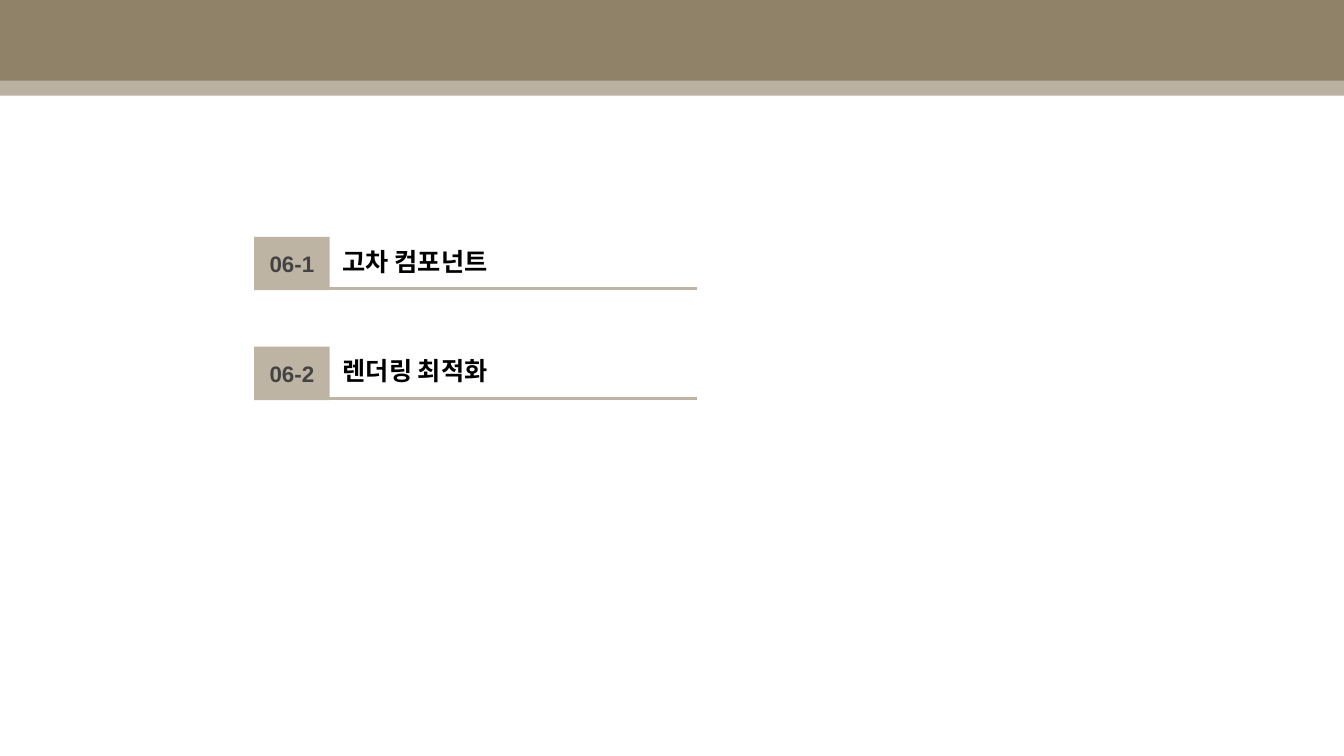
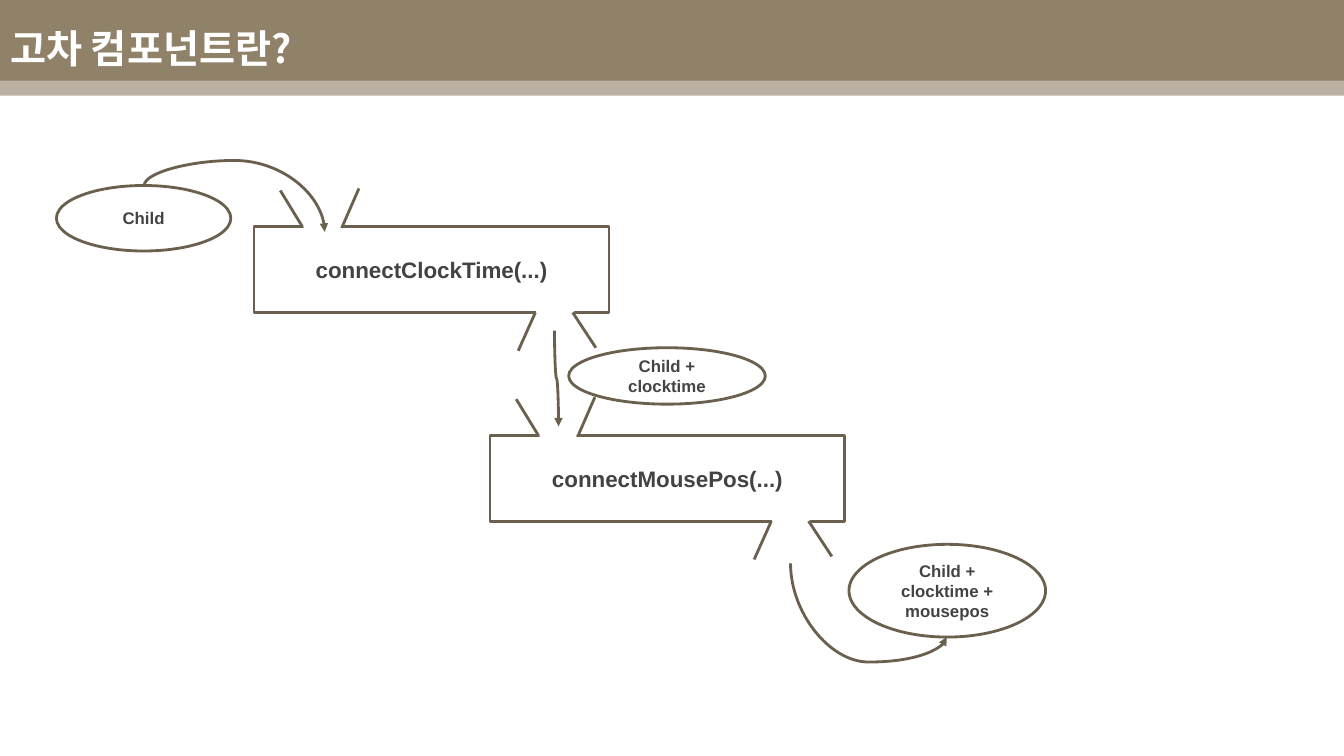
from dataclasses import dataclass

from lxml import etree
from pptx import Presentation
from pptx.dml.color import RGBColor
from pptx.enum.shapes import MSO_CONNECTOR as Conn, MSO_SHAPE as Shape
from pptx.enum.text import MSO_ANCHOR as Anchor, MSO_AUTO_SIZE as AutoSize, PP_ALIGN as Align
from pptx.oxml.ns import qn
from pptx.util import Inches, Pt


@dataclass(frozen=True)
class Theme:
    band: str = "908269"
    tag: str = "BDB4A4"
    outline: str = "6B604E"
    white: str = "FFFFFF"
    black: str = "000000"
    label: str = "434343"
    latin: str = "Arial"
    korean: str = "Noto Sans CJK KR"
    title_size: int = 28
    item_size: int = 18
    box_size: int = 16
    note_size: int = 12
    line: float = 2
    rule: float = 2.25


T = Theme()
SLIDE_W, SLIDE_H = 13.33, 7.5


def rgb(color):
    return RGBColor.from_string(color)


def write(shape, text, *, size, color=T.label, font=T.latin, align=Align.CENTER,
          anchor=Anchor.MIDDLE):
    """Fill a shape with bold text, one paragraph for each line."""
    tf = shape.text_frame
    tf.word_wrap = True
    tf.auto_size = AutoSize.NONE
    tf.vertical_anchor = anchor
    tf.text = text
    for p in tf.paragraphs:
        p.alignment = align
        for r in p.runs:
            f = r.font
            f.name, f.size, f.bold = font, Pt(size), True
            f.color.rgb = rgb(color)
            if font == T.korean:
                etree.SubElement(r._r.get_or_add_rPr(), qn("a:ea"), typeface=font)


def add_shape(s, kind, x, y, w, h, *, fill=T.white, line=None):
    sp = s.shapes.add_shape(kind, Inches(x), Inches(y), Inches(w), Inches(h))
    sp.shadow.inherit = False
    sp.fill.solid()
    sp.fill.fore_color.rgb = rgb(fill)
    if line:
        sp.line.color.rgb = rgb(line)
        sp.line.width = Pt(T.line)
    else:
        sp.line.fill.background()
    return sp


def add_line(s, x1, y1, x2, y2, *, color=T.outline, width=T.line, kind=Conn.STRAIGHT):
    c = s.shapes.add_connector(kind, Inches(x1), Inches(y1), Inches(x2), Inches(y2))
    c.line.color.rgb = rgb(color)
    c.line.width = Pt(width)
    etree.SubElement(c.element.spPr, qn("a:effectLst"))
    return c


def add_curved_arrow(s, x1, y1, x2, y2, bend):
    """Arrow that leaves and arrives vertically; bend is the turn as a share of its height."""
    cx, cy = (x1 + x2) / 2, (y1 + y2) / 2
    dx, dy = (x2 - x1) / 2, (y2 - y1) / 2
    # The frame is a quarter turn of the visible box.
    c = add_line(s, cx + dy, cy - dx, cx - dy, cy + dx, kind=Conn.CURVE)
    sp_pr = c.element.spPr
    sp_pr.find(qn("a:xfrm")).set("rot", str(270 * 60000))
    guides = sp_pr.find(qn("a:prstGeom")).find(qn("a:avLst"))
    etree.SubElement(guides, qn("a:gd"), name="adj1", fmla=f"val {round(bend * 100000)}")
    etree.SubElement(sp_pr.find(qn("a:ln")), qn("a:tailEnd"), type="triangle")


def add_master_bands(prs, s):
    """Draw the header bands and move them to the master, behind its placeholders."""
    header = add_shape(s, Shape.RECTANGLE, 0, 0, SLIDE_W, 0.8, fill=T.band)
    strip = add_shape(s, Shape.RECTANGLE, 0, 0.65, SLIDE_W, 0.3, fill=T.band)
    color = strip.element.spPr.find(qn("a:solidFill"))[0]
    etree.SubElement(color, qn("a:alpha"), val="62000")
    tree = prs.slide_master.element.cSld.spTree
    for i, sp in enumerate((header, strip)):
        tree.insert(2 + i, sp.element)


def add_title(s, text):
    title = s.shapes.title
    title.left, title.top, title.width, title.height = map(Inches, (0, 0.15, 12, 0.65))
    write(title, text, size=T.title_size, color=T.white, font=T.korean, align=Align.LEFT)


def add_agenda_item(s, y, number, text):
    tag = add_shape(s, Shape.RECTANGLE, 2.52, y, 0.75, 0.53, fill=T.tag)
    write(tag, number, size=T.box_size)
    box = s.shapes.add_textbox(Inches(3.3), Inches(y + 0.04), Inches(4.35), Inches(0.4))
    write(box, text, size=T.item_size, color=T.black, font=T.korean, align=Align.LEFT)
    add_line(s, 3.26, y + 0.51, 6.91, y + 0.51, color=T.tag, width=T.rule)


def add_funnel_box(s, x, y, text):
    """Box with an open inlet at its top left and an open outlet at its bottom right."""
    box = add_shape(s, Shape.RECTANGLE, x, y, 3.52, 0.85, line=T.outline)
    write(box, text, size=T.box_size)
    for dx, dy, turn in ((0.38, -0.43, 0), (2.69, 0.8, 180)):
        gap = add_shape(s, Shape.FLOWCHART_MANUAL_OPERATION, x + dx, y + dy, 0.59, 0.46)
        gap.rotation = turn
    for x1, y1, x2, y2 in ((0.26, -0.36, 0.48, 0), (1.04, -0.38, 0.87, 0.01),
                           (3.16, 0.85, 3.39, 1.2), (2.79, 0.85, 2.62, 1.23)):
        add_line(s, x + x1, y + y1, x + x2, y + y2)


def add_bubble(s, x, y, w, h, text):
    bubble = add_shape(s, Shape.OVAL, x, y, w, h, line=T.outline)
    write(bubble, text, size=T.note_size)


def build_agenda(s):
    items = (("06-1", "고차 컴포넌트"), ("06-2", "렌더링 최적화"))
    for i, (number, text) in enumerate(items):
        add_agenda_item(s, 2.35 + i * 1.09, number, text)


def build_component_flow(s):
    add_title(s, "고차 컴포넌트란?")
    add_funnel_box(s, 2.52, 2.25, "connectClockTime(...)")
    add_funnel_box(s, 4.86, 4.32, "connectMousePos(...)")
    add_bubble(s, 0.56, 1.84, 1.73, 0.65, "Child")
    add_bubble(s, 5.64, 3.45, 1.95, 0.56, "Child +\nclocktime")
    add_bubble(s, 8.42, 5.4, 1.95, 0.92, "Child +\nclocktime +\nmousepos")
    add_curved_arrow(s, 1.43, 1.84, 3.22, 2.3, -0.54)
    add_curved_arrow(s, 5.5, 3.28, 5.54, 4.23, 0.5)
    add_curved_arrow(s, 7.84, 5.59, 9.39, 6.32, 1.34)


def main():
    prs = Presentation()
    prs.slide_width, prs.slide_height = Inches(SLIDE_W), Inches(SLIDE_H)
    title_only, blank = prs.slide_layouts[5], prs.slide_layouts[6]
    agenda = prs.slides.add_slide(blank)
    add_master_bands(prs, agenda)
    build_agenda(agenda)
    build_component_flow(prs.slides.add_slide(title_only))
    prs.save("out.pptx")


if __name__ == "__main__":
    main()
